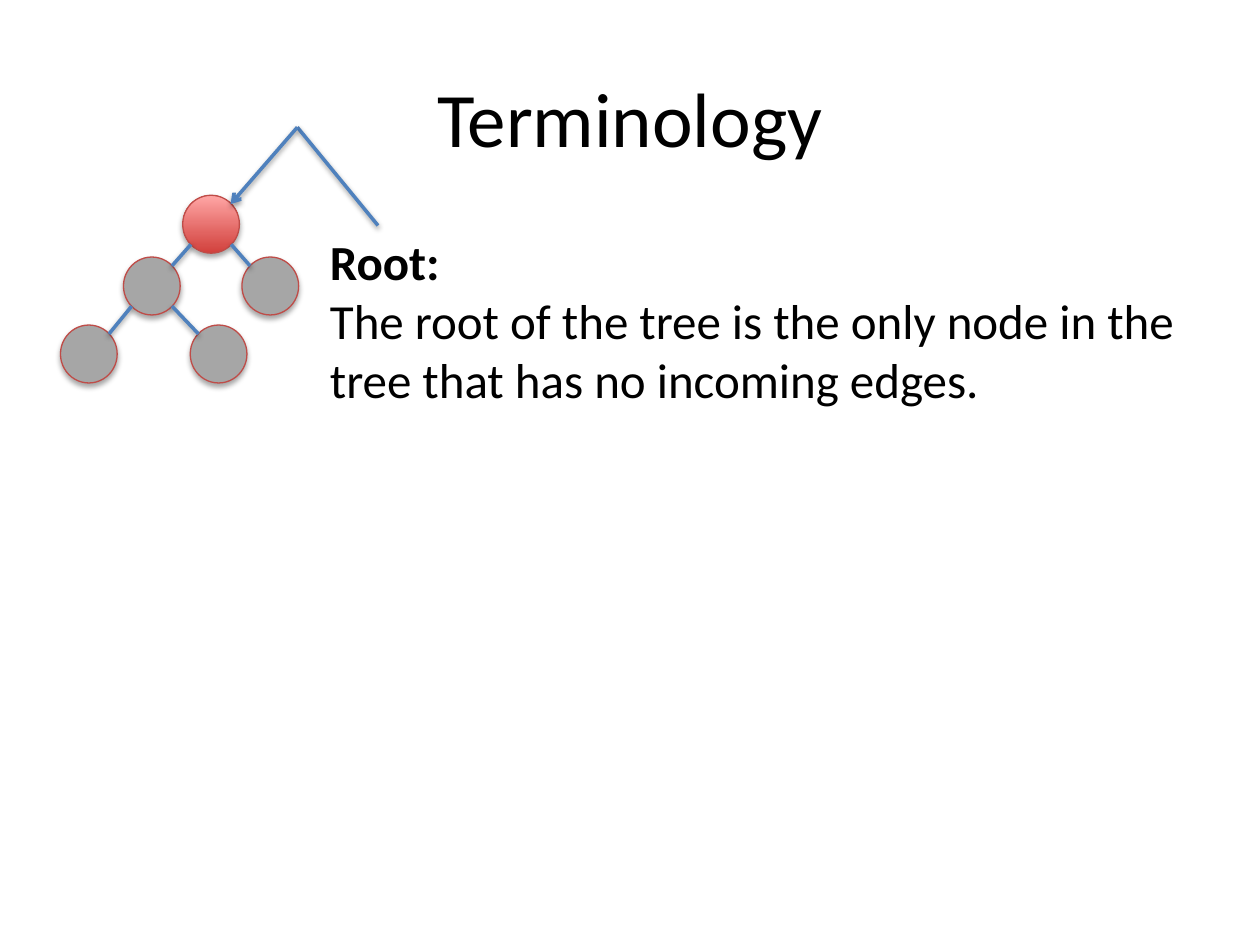
from dataclasses import dataclass

from pptx import Presentation
from pptx.dml.color import RGBColor as RGB
from pptx.enum.shapes import MSO_CONNECTOR as LINK, MSO_SHAPE as SHAPE
from pptx.enum.text import MSO_ANCHOR as ANCHOR, MSO_AUTO_SIZE as FIT, PP_ALIGN as ALIGN
from pptx.oxml import parse_xml
from pptx.oxml.ns import nsdecls, qn
from pptx.util import Inches, Pt


@dataclass(frozen=True)
class Theme:
    font: str = "Calibri"
    ink: str = "000000"
    node: str = "A6A6A6"
    rim: str = "BF4C48"
    edge: str = "4F81BD"
    low: str = "D1403C"
    high: str = "FFA6A5"
    title: int = 44
    body: int = 28
    thin: float = 0.75
    thick: float = 2


THEME = Theme()
WIDE, TALL = 0.45, 0.46
REACH = 0.16


def add_text(slide, box, lines, size, align=ALIGN.LEFT, anchor=ANCHOR.TOP, fit=FIT.NONE):
    frame = slide.shapes.add_textbox(*map(Inches, box)).text_frame
    frame.word_wrap = True
    frame.auto_size = fit
    frame.vertical_anchor = anchor
    for i, (text, bold) in enumerate(lines):
        para = frame.paragraphs[0] if i == 0 else frame.add_paragraph()
        para.alignment = align
        run = para.add_run()
        run.text = text
        run.font.name = THEME.font
        run.font.size = Pt(size)
        run.font.bold = bold
        run.font.color.rgb = RGB.from_string(THEME.ink)


def add_shadow(shape, drop, alpha):
    shape._element.spPr.append(parse_xml(
        f'<a:effectLst {nsdecls("a")}>'
        f'<a:outerShdw blurRad="{Pt(3.1)}" dist="{Pt(drop)}" dir="5400000" rotWithShape="0">'
        f'<a:srgbClr val="{THEME.ink}"><a:alpha val="{alpha * 1000}"/></a:srgbClr>'
        '</a:outerShdw></a:effectLst>'))


def set_line(shape, color, width):
    shape.line.color.rgb = RGB.from_string(color)
    shape.line.width = Pt(width)


def add_node(slide, left, top, root=False):
    node = slide.shapes.add_shape(SHAPE.OVAL, *map(Inches, (left, top, WIDE, TALL)))
    if root:
        node.fill.gradient()
        node.fill.gradient_angle = 90
        for stop, color in zip(node.fill.gradient_stops, (THEME.low, THEME.high)):
            stop.color.rgb = RGB.from_string(color)
    else:
        node.fill.solid()
        node.fill.fore_color.rgb = RGB.from_string(THEME.node)
    set_line(node, THEME.rim, THEME.thin)
    add_shadow(node, 1.8, 35)


def add_edge(slide, start, end, arrow=False):
    edge = slide.shapes.add_connector(LINK.STRAIGHT, *map(Inches, (*start, *end)))
    set_line(edge, THEME.edge, THEME.thick)
    if arrow:
        line = edge._element.spPr.find(qn("a:ln"))
        line.append(parse_xml(f'<a:tailEnd {nsdecls("a")} type="arrow"/>'))
    add_shadow(edge, 1.6, 38)


def add_tree(slide, left, top):
    spots = {
        "root": (0.97, 0),
        "right": (1.44, 0.49),
        "left": (0.5, 0.49),
        "leaf1": (0, 1.03),
        "leaf2": (1.03, 1.03),
    }
    links = [("root", "left"), ("root", "right"), ("left", "leaf1"), ("left", "leaf2")]
    for name, (x, y) in spots.items():
        add_node(slide, left + x, top + y, root=name == "root")
    for upper, lower in links:
        (x1, y1), (x2, y2) = [
            (left + spots[name][0] + WIDE / 2, top + spots[name][1] + TALL / 2)
            for name in (upper, lower)
        ]
        side = REACH if x2 > x1 else -REACH
        add_edge(slide, (x1 + side, y1 + REACH), (x2 - side, y2 - REACH))


def add_pointer(slide, left, top, width, height):
    peak = (left + 0.53, top)
    add_edge(slide, (left + width, top + height), peak)
    add_edge(slide, peak, (left, top + 0.61), arrow=True)


def main():
    deck = Presentation()
    deck.slide_width, deck.slide_height = Inches(10), Inches(7.5)
    slide = deck.slides.add_slide(deck.slide_layouts[6])
    add_text(slide, (0.5, 0.3, 9, 1.25), [("Terminology", False)], THEME.title,
             align=ALIGN.CENTER, anchor=ANCHOR.MIDDLE)
    add_tree(slide, 0.48, 1.55)
    add_text(slide, (2.52, 1.79, 6.98, 1.51), [
        ("Root:", True),
        ("The root of the tree is the only node in the tree that has no incoming edges.", False),
    ], THEME.body, fit=FIT.SHAPE_TO_FIT_TEXT)
    add_pointer(slide, 1.83, 1.01, 1.17, 0.78)
    deck.save("out.pptx")


if __name__ == "__main__":
    main()
